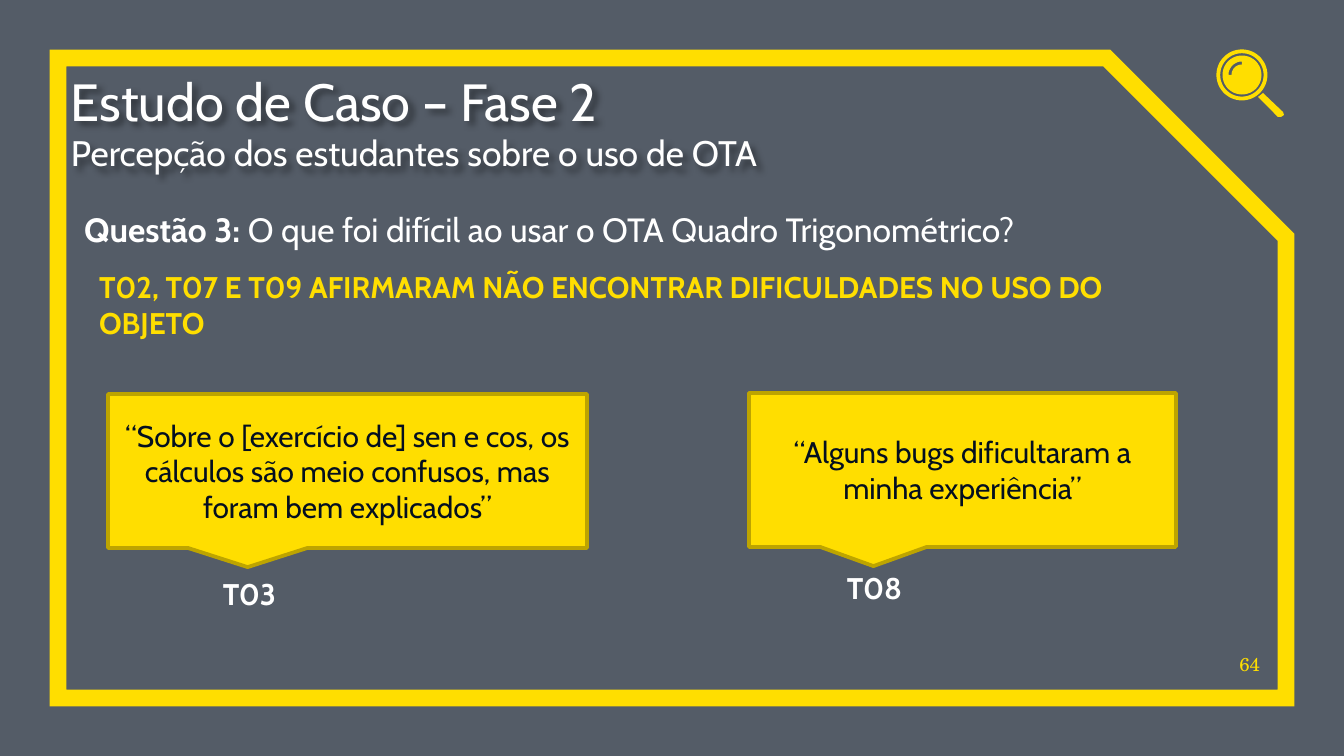
import math

import lxml.etree
import pptx
import pptx.dml.color
import pptx.enum.shapes
import pptx.enum.text
import pptx.oxml
import pptx.oxml.ns
import pptx.util

PX = 914400 / 134.4
WIDTH, HEIGHT = 1344, 756
YELLOW, GOLD, NAVY, WHITE = "FFDE00", "BDA400", "040F20", "FFFFFF"
SANS, SERIF = "Cabin", "TeX Gyre Schola"
ALIGN = pptx.enum.text.PP_ALIGN
ANCHOR = pptx.enum.text.MSO_ANCHOR
SHAPE = pptx.enum.shapes.MSO_SHAPE

# Content: each paragraph is a list of (text, size, bold) runs
TITLE = [
    [("Estudo de Caso – Fase 2", 28, False)],
    [("Percepção dos estudantes sobre o uso de OTA", 19, False)],
]
QUESTION = [[
    ("Questão 3: ", 18, True),
    ("O que foi difícil ao usar o OTA Quadro Trigonométrico?", 18, False),
]]
FINDING = [[("T02, T07 E T09 AFIRMARAM NÃO ENCONTRAR DIFICULDADES NO USO DO OBJETO", 16, True)]]
PAGE_NUMBER = [[("64", 10, False)]]
# Quote, its box, student, box of the student label
QUOTES = [
    ("“Sobre o [exercício de] sen e cos, os cálculos são meio confusos, mas foram bem explicados”",
     (108, 394, 479, 154), "T03", (207, 569, 85, 50)),
    ("“Alguns bugs dificultaram a minha experiência”",
     (749, 393, 427, 154), "T08", (832, 563, 85, 50)),
]
LENS_CENTER = (1242, 75)
HANDLE = [(1263, 93), (1258, 97), (1278, 117), (1281, 117), (1284, 115), (1283, 112)]


def emu(length):
    return pptx.util.Emu(round(length * PX))


def color(value):
    return pptx.dml.color.RGBColor.from_string(value)


def xml(text):
    namespace = pptx.oxml.ns.nsdecls("a")
    return pptx.oxml.parse_xml(text.replace(">", f" {namespace}>", 1))


def write(shape, paragraphs, text_color, font=SANS, align=ALIGN.LEFT, anchor=ANCHOR.TOP, inset=True):
    frame = shape.text_frame
    frame.word_wrap = True
    frame.vertical_anchor = anchor
    if not inset:
        frame.margin_left = frame.margin_right = frame.margin_top = frame.margin_bottom = 0
    for index, runs in enumerate(paragraphs):
        paragraph = frame.add_paragraph() if index else frame.paragraphs[0]
        paragraph.alignment = align
        for text, size, bold in runs:
            run = paragraph.add_run()
            run.text = text
            run.font.size = pptx.util.Pt(size)
            run.font.bold = bold
            run.font.name = font
            run.font.color.rgb = color(text_color)


def add_text(box, paragraphs, text_color, **options):
    shape = slide.shapes.add_textbox(*map(emu, box))
    write(shape, paragraphs, text_color, **options)
    return shape


def add_box(kind, box, fill=None, line=None, line_width=0):
    shape = slide.shapes.add_shape(kind, *map(emu, box))
    shape.shadow.inherit = False
    if fill:
        shape.fill.solid()
        shape.fill.fore_color.rgb = color(fill)
    else:
        shape.fill.background()
    if line:
        shape.line.color.rgb = color(line)
        shape.line.width = pptx.util.Pt(line_width)
    else:
        shape.line.fill.background()
    return shape


def arc(radius, start=0, end=360, step=6):
    x, y = LENS_CENTER
    direction = step if end > start else -step
    return [(x + radius * math.cos(math.radians(angle)), y + radius * math.sin(math.radians(angle)))
            for angle in range(start, end + direction, direction)]


def add_outline(shapes, contours):
    contours = [[(emu(x), emu(y)) for x, y in contour] for contour in contours]
    builder = shapes.build_freeform(*contours[0][0])
    for index, contour in enumerate(contours):
        if index:
            builder.move_to(*contour[0])
        builder.add_line_segments(contour[1:], close=True)
    shape = builder.convert_to_shape()
    shape.shadow.inherit = False
    shape.fill.solid()
    shape.fill.fore_color.rgb = color(YELLOW)
    shape.line.fill.background()


presentation = pptx.Presentation()
presentation.slide_width, presentation.slide_height = emu(WIDTH), emu(HEIGHT)
slide = presentation.slides.add_slide(presentation.slide_layouts[6])

# Translucent backdrop
backdrop = add_box(SHAPE.RECTANGLE, (0, 0, WIDTH, HEIGHT), NAVY)
fill_color = backdrop.fill._xPr.find(".//" + pptx.oxml.ns.qn("a:srgbClr"))
fill_color.append(xml('<a:alpha val="68000"></a:alpha>'))

# Frame with a cut corner
frame = add_box(SHAPE.SNIP_1_RECTANGLE, (58, 58, 1228, 640), line=YELLOW, line_width=9)
frame.adjustments[0] = 0.28
frame.line._get_or_add_ln().append(xml('<a:miter lim="800000"></a:miter>'))

add_text((1224, 637, 36, 38), PAGE_NUMBER, YELLOW, font=SERIF,
         align=ALIGN.RIGHT, anchor=ANCHOR.BOTTOM, inset=False)

# Magnifying glass: rim, lens with glint, handle
magnifier = slide.shapes.add_group_shape()
add_outline(magnifier.shapes, [arc(25.5), arc(21.7)])
add_outline(magnifier.shapes, [arc(19.5), arc(13.5, 180, 270) + arc(10.5, 270, 180)])
add_outline(magnifier.shapes, [HANDLE])

# Title with a soft shadow, question and finding
title = add_text((71, 73, 1130, 101), TITLE, WHITE, anchor=ANCHOR.BOTTOM, inset=False)
title._element.spPr.append(xml(
    '<a:effectLst><a:outerShdw blurRad="38100" dist="38100" dir="2700000" algn="tl">'
    '<a:srgbClr val="000000"><a:alpha val="43000"/></a:srgbClr></a:outerShdw></a:effectLst>'))
add_text((71, 202, 1085, 54), QUESTION, WHITE)
add_text((86, 262, 1070, 86), FINDING, YELLOW)

# Quotes with student labels
for quote, quote_box, student, label_box in QUOTES:
    callout = add_box(SHAPE.RECTANGULAR_CALLOUT, quote_box, YELLOW, GOLD, 2)
    write(callout, [[(quote, 16, False)]], NAVY, align=ALIGN.CENTER, anchor=ANCHOR.MIDDLE)
    add_text(label_box, [[(student, 16, True)]], WHITE, align=ALIGN.CENTER)

presentation.save("out.pptx")
